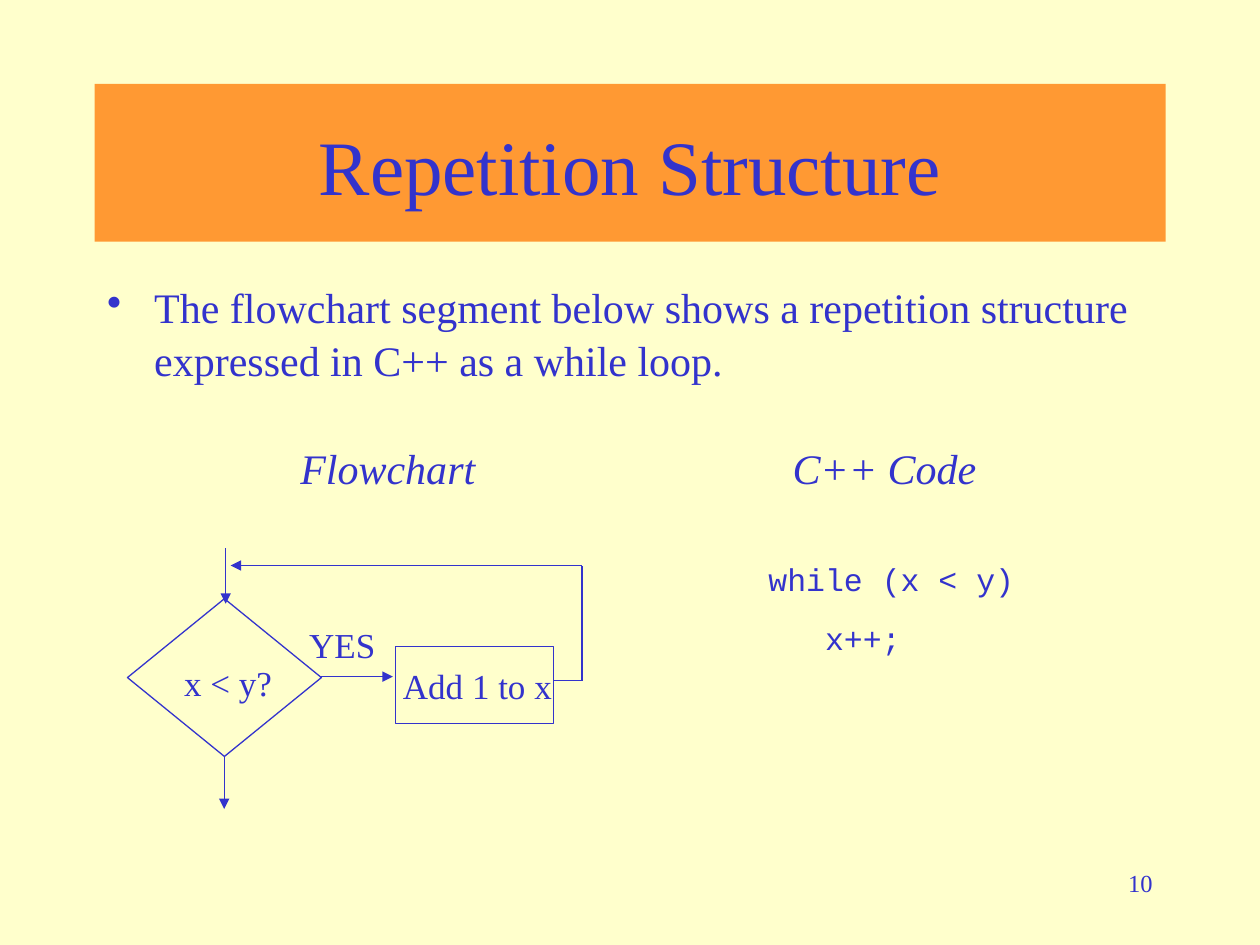
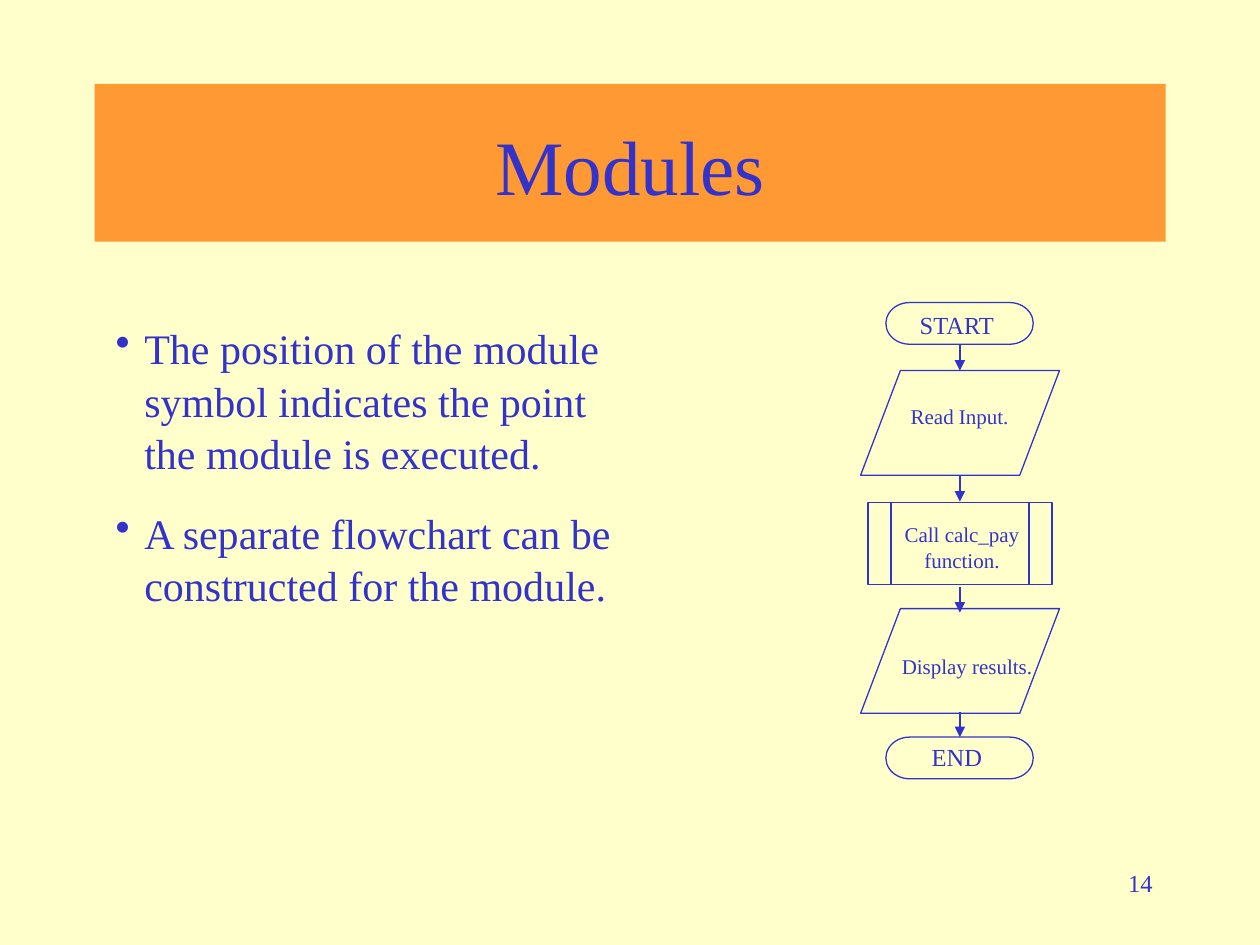
import pptx
import pptx.dml.color
import pptx.enum.shapes
import pptx.enum.text
import pptx.oxml.ns
import pptx.util
from lxml import etree

Cm = pptx.util.Cm
Pt = pptx.util.Pt
qn = pptx.oxml.ns.qn
rgb = pptx.dml.color.RGBColor.from_string
PRESET = pptx.enum.shapes.MSO_SHAPE
ALIGN = pptx.enum.text.PP_ALIGN
LEFT, CENTER, RIGHT = ALIGN.LEFT, ALIGN.CENTER, ALIGN.RIGHT

INK = "3333CC"
BAND = "FF9933"
PAPER = "FFFFCC"
SERIF = "Times New Roman"
MONO = "Courier New"


def write(box, text, size, align=LEFT, font=SERIF, italic=False, gap=0, hang=0):
    frame = box.text_frame
    frame.word_wrap = True
    frame.auto_size = pptx.enum.text.MSO_AUTO_SIZE.NONE
    frame.text = text
    for index, para in enumerate(frame.paragraphs):
        if hang:
            properties = para._p.get_or_add_pPr()
            properties.set("marL", str(Cm(hang)))
            properties.set("indent", str(-Cm(hang)))
            etree.SubElement(properties, qn("a:buChar")).set("char", "•")
        para.alignment = align
        para.line_spacing = 1.05
        para.space_before = Pt(gap if index else 0)
        for span in para.runs:
            span.font.name = font
            span.font.size = Pt(size)
            span.font.italic = italic
            span.font.color.rgb = rgb(INK)


def add_text(page, place, text, size, **style):
    box = page.shapes.add_textbox(*map(Cm, place))
    write(box, text, size, **style)


deck = pptx.Presentation()
deck.slide_width = Cm(25.4)
deck.slide_height = Cm(19.05)
background = deck.slide_master.background.fill
background.solid()
background.fore_color.rgb = rgb(PAPER)

pages = []
for heading, number in [("Repetition Structure", "10"), ("Modules", "14")]:
    page = deck.slides.add_slide(deck.slide_layouts[5])
    title = page.shapes.title
    title.left, title.top, title.width, title.height = map(Cm, (1.91, 1.69, 21.59, 3.18))
    title.fill.solid()
    title.fill.fore_color.rgb = rgb(BAND)
    write(title, heading, 44, align=CENTER)
    title.text_frame.vertical_anchor = pptx.enum.text.MSO_ANCHOR.MIDDLE
    add_text(page, (18.21, 17.35, 5.28, 1.27), number, 14, align=RIGHT)
    pages.append(page)
repetition, modules = pages

add_text(repetition, (1.91, 5.51, 21.59, 11.43),
         "The flowchart segment below shows a repetition structure "
         "expressed in C++ as a while loop.", 24, hang=0.95)
for left, heading in [(5.61, "Flowchart"), (15.62, "C++ Code")]:
    add_text(repetition, (left, 8.74, 4.42, 1.27), heading, 24, align=CENTER, italic=True)
add_text(repetition, (15.24, 11.13, 8.15, 2.18), "while (x < y)\n   x++;", 18,
         font=MONO, gap=11.2)
add_text(modules, (2.08, 6.32, 11.15, 5.87),
         "The position of the module symbol indicates the point the module is executed.\n"
         "A separate flowchart can be constructed for the module.", 24, gap=15, hang=0.58)

symbols = [
    (repetition, PRESET.FLOWCHART_DECISION, (2.57, 12.07, 3.91, 3.18)),
    (repetition, PRESET.RECTANGLE, (7.98, 13.03, 3.18, 1.55)),
    (modules, PRESET.FLOWCHART_TERMINATOR, (17.86, 6.1, 2.97, 0.84)),
    (modules, PRESET.FLOWCHART_DATA, (17.35, 7.47, 4.01, 2.11)),
    (modules, PRESET.FLOWCHART_PREDEFINED_PROCESS, (17.5, 10.13, 3.71, 1.65)),
    (modules, PRESET.FLOWCHART_DATA, (17.35, 12.27, 4.01, 2.11)),
    (modules, PRESET.FLOWCHART_TERMINATOR, (17.86, 14.86, 2.97, 0.84)),
]
for page, preset, place in symbols:
    symbol = page.shapes.add_shape(preset, *map(Cm, place))
    symbol.shadow.inherit = False
    symbol.fill.background()
    symbol.line.color.rgb = rgb(INK)
    symbol.line.width = Pt(0.75)

flow_lines = [
    (repetition, (4.55, 11.05, 4.55, 12.17), True),
    (repetition, (4.52, 15.27, 4.52, 16.31), True),
    (repetition, (6.45, 13.64, 7.92, 13.64), True),
    (repetition, (11.15, 13.72, 11.71, 13.72), False),
    (repetition, (11.73, 13.72, 11.73, 11.4), False),
    (repetition, (11.73, 11.4, 4.65, 11.4), True),
]
for top in (6.96, 9.6, 11.84, 14.35):
    flow_lines.append((modules, (19.35, top, 19.35, top + 0.51), True))
for page, ends, has_arrow in flow_lines:
    connector = page.shapes.add_connector(
        pptx.enum.shapes.MSO_CONNECTOR.STRAIGHT, *map(Cm, ends))
    connector.line.color.rgb = rgb(INK)
    connector.line.width = Pt(0.75)
    properties = connector._element.spPr
    if has_arrow:
        etree.SubElement(properties.find(qn("a:ln")), qn("a:tailEnd")).set("type", "triangle")
    etree.SubElement(properties, qn("a:effectLst"))

labels = [
    (repetition, (3.28, 13.16, 2.64, 1.12), "x < y?", 20, CENTER),
    (repetition, (7.82, 13.23, 3.61, 1.12), "Add 1 to x", 20, CENTER),
    (repetition, (5.82, 12.4, 2.16, 1.12), "YES", 20, CENTER),
    (modules, (18.29, 6.1, 2.16, 0.86), "START", 14, LEFT),
    (modules, (18.11, 7.98, 2.84, 0.76), "Read Input.", 12, LEFT),
    (modules, (17.96, 10.36, 2.87, 1.27), "Call calc_pay function.", 12, CENTER),
    (modules, (17.93, 13.03, 3.2, 0.76), "Display results.", 12, LEFT),
    (modules, (18.21, 14.81, 2.16, 0.86), "END", 14, CENTER),
]
for page, place, text, size, align in labels:
    add_text(page, place, text, size, align=align)

deck.save("out.pptx")
